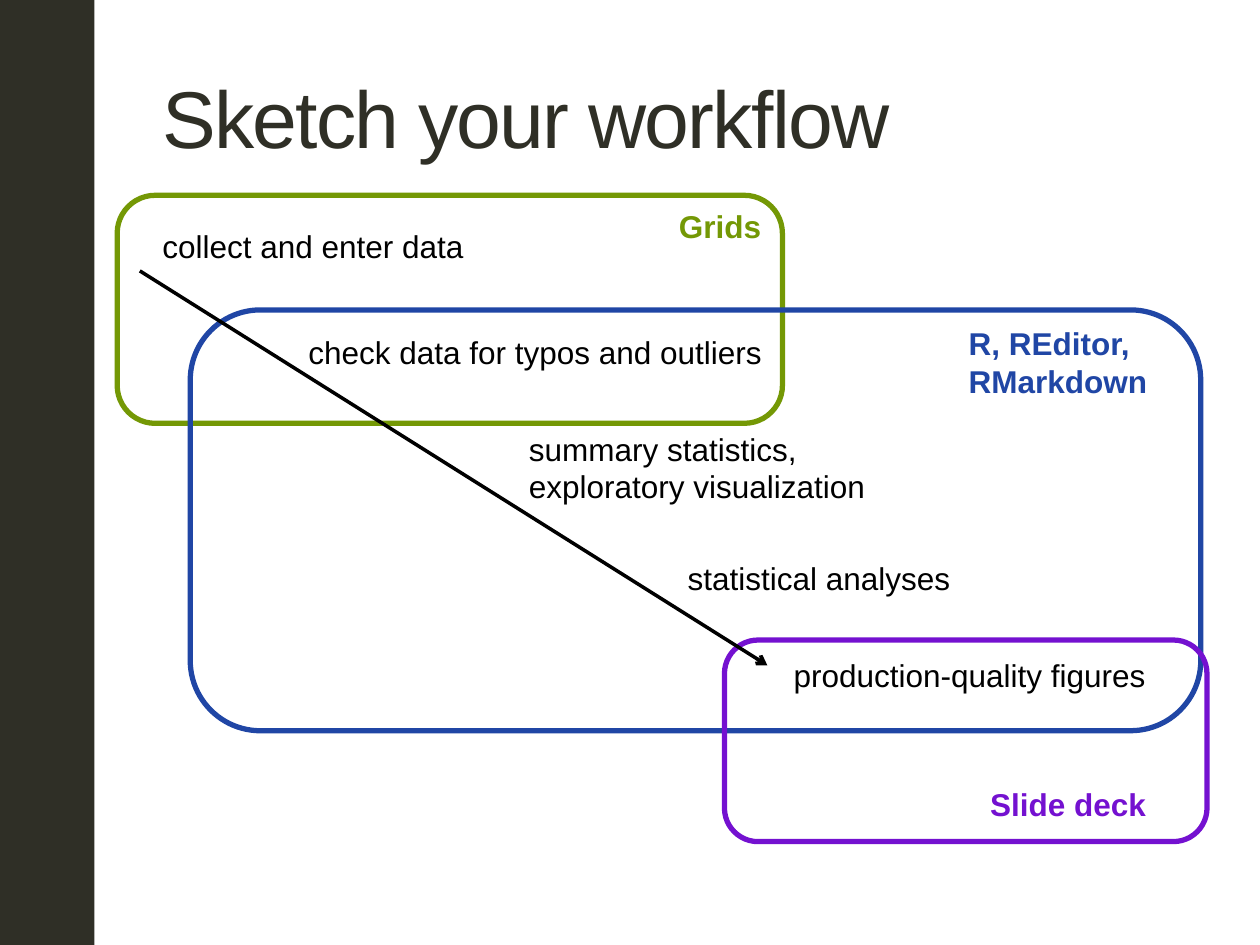
from lxml import etree
from pptx import Presentation
from pptx.dml.color import RGBColor
from pptx.enum import shapes, text
from pptx.oxml import ns
from pptx.util import Inches, Pt

FONT = "Arial"
DARK = RGBColor(0x2F, 0x2F, 0x26)
BLACK = RGBColor(0x00, 0x00, 0x00)
GREEN = RGBColor(0x74, 0x98, 0x05)
BLUE = RGBColor(0x20, 0x46, 0xA5)
PURPLE = RGBColor(0x74, 0x11, 0xD0)

STEPS = [
    ("collect and enter data", (1.19, 1.75, 2.62, 0.4)),
    ("check data for typos and outliers", (2.35, 2.59, 3.84, 0.4)),
    ("summary statistics, exploratory visualization", (4.1, 3.36, 2.93, 0.71)),
    ("statistical analyses", (5.36, 4.39, 2.31, 0.4)),
    ("production-quality figures", (6.2, 5.16, 3.02, 0.4)),
]

# frame position, colour, tool name, name position
TOOLS = [
    ((0.93, 1.55, 5.28, 1.81), GREEN, "Grids", (5.29, 1.59, 0.86, 0.4)),
    ((1.51, 2.46, 8.02, 3.34), BLUE, "R, REditor,\nRMarkdown", (7.59, 2.52, 1.63, 0.71)),
    ((5.75, 5.08, 3.83, 1.6), PURPLE, "Slide deck", (7.76, 6.18, 1.58, 0.4)),
]


def add_text(page, words, place, color=BLACK, size=18, bold=False, wrap=False):
    box = page.shapes.add_textbox(*map(Inches, place))
    frame = box.text_frame
    frame.text = words
    frame.word_wrap = wrap
    for para in frame.paragraphs:
        for span in para.runs:
            span.font.name = FONT
            span.font.size = Pt(size)
            span.font.bold = bold
            span.font.color.rgb = color
    return box


def add_title(page, words):
    box = add_text(page, words, (1.19, 0.3, 8.33, 1.25), DARK, size=46, wrap=True)
    box.text_frame.vertical_anchor = text.MSO_ANCHOR.MIDDLE
    span = box.text_frame.paragraphs[0].runs[0]
    span.font._element.set("spc", "-100")


def add_sidebar(page, height):
    bar = page.shapes.add_shape(shapes.MSO_SHAPE.RECTANGLE, 0, 0, Inches(0.75), height)
    bar.shadow.inherit = False
    bar.fill.solid()
    bar.fill.fore_color.rgb = DARK
    bar.line.fill.background()


def add_tool_frame(page, place, color):
    frame = page.shapes.add_shape(shapes.MSO_SHAPE.ROUNDED_RECTANGLE, *map(Inches, place))
    frame.shadow.inherit = False
    frame.fill.background()
    frame.line.color.rgb = color
    frame.line.width = Pt(3)


def add_arrow(page, start, end):
    arrow = page.shapes.add_connector(
        shapes.MSO_CONNECTOR.STRAIGHT, *map(Inches, start + end))
    arrow.line.color.rgb = BLACK
    arrow.line.width = Pt(2)
    properties = arrow._element.spPr
    etree.SubElement(properties.find(ns.qn("a:ln")), ns.qn("a:tailEnd"), type="arrow")
    etree.SubElement(properties, ns.qn("a:effectLst"))


def main():
    deck = Presentation()
    deck.slide_width, deck.slide_height = Inches(10), Inches(7.5)
    page = deck.slides.add_slide(deck.slide_layouts[6])

    add_sidebar(page, deck.slide_height)
    add_title(page, "Sketch your workflow")
    for words, place in STEPS:
        add_text(page, words, place, wrap="," in words)
    for place, color, _, _ in TOOLS:
        add_tool_frame(page, place, color)
    add_arrow(page, (1.11, 2.15), (6.09, 5.28))
    for _, color, name, place in TOOLS:
        add_text(page, name, place, color, bold=True)

    deck.save("out.pptx")


if __name__ == "__main__":
    main()
